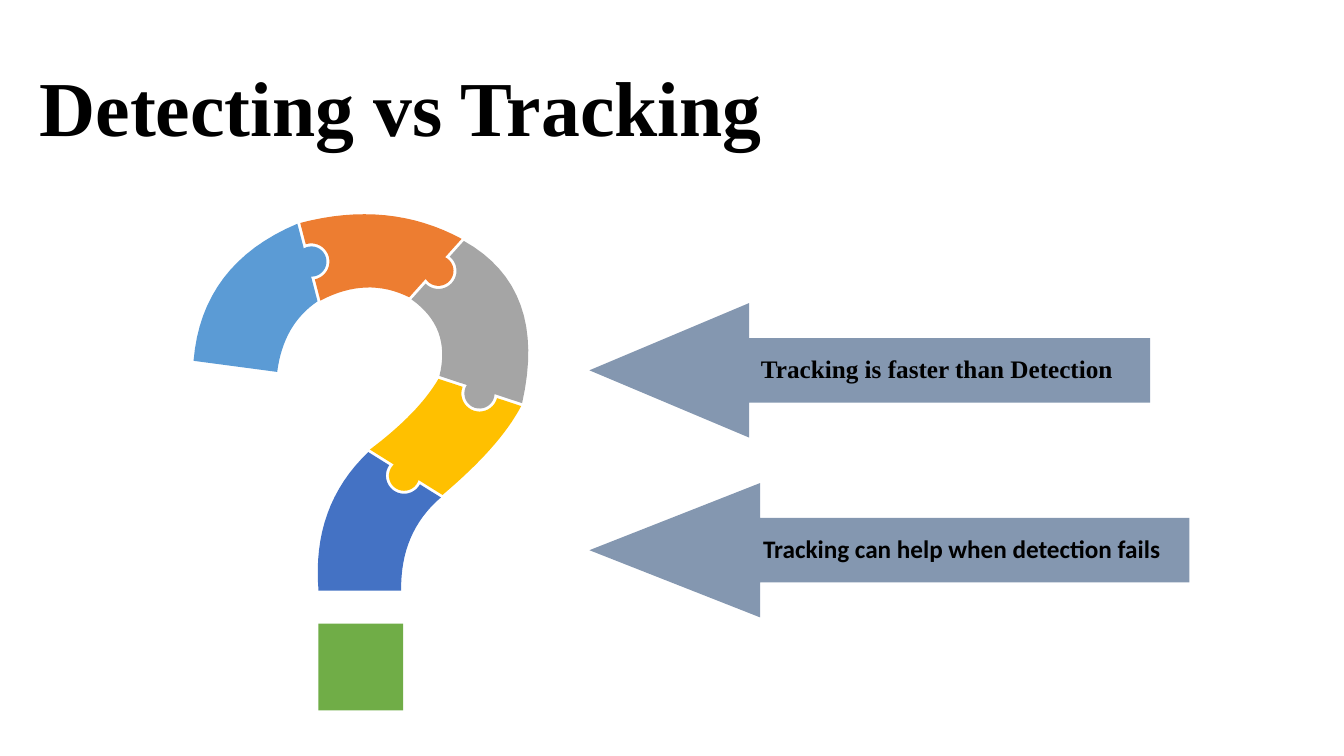
import math

from pptx import Presentation
from pptx.dml.color import RGBColor
from pptx.enum import shapes, text
from pptx.util import Pt

SERIF = "Times New Roman"
UNIT = 0.72  # points per outline unit
GAP = 3      # white gap between puzzle pieces
KNOB = 15    # knob radius
RISE = 4     # distance of a knob's centre from its seam

# Seams across the question mark: outer end, inner end
SEAMS = [((192, 358), (275, 369)), ((295, 222), (315, 299)),
         ((458, 237), (406, 295)), ((518, 400), (436, 373)),
         ((439, 491), (367, 446)), ((398, 586), (316, 586))]
# Pieces between the seams: colour, bend of outer edge, bend of inner edge
PIECES = [("5B9BD5", (200, 262), (281, 322)),
          ("ED7D31", (386, 198), (364, 274)),
          ("A5A5A5", (544, 286), (448, 325)),
          ("FFC000", (496, 443), (415, 410)),
          ("4472C4", (397, 528), (309, 502))]


def color(value):
    return RGBColor.from_string(value)


def paint(shape, fill):
    shape.shadow.inherit = False
    shape.fill.solid()
    shape.fill.fore_color.rgb = color(fill)
    shape.line.fill.background()


def write(shape, words, size, font=SERIF, fill="000000", bold=True,
          align=text.PP_ALIGN.LEFT, anchor=text.MSO_ANCHOR.MIDDLE, spacing=1.0):
    frame = shape.text_frame
    frame.word_wrap = True
    frame.vertical_anchor = anchor
    paragraph = frame.paragraphs[0]
    paragraph.alignment = align
    paragraph.line_spacing = spacing
    run = paragraph.add_run()
    run.text = words
    run.font.name = font
    run.font.size = Pt(size)
    run.font.bold = bold
    run.font.color.rgb = color(fill)
    return frame


def bend(start, control, end, steps=16):
    """Points of a quadratic curve, without its two ends."""
    return [tuple((1 - t)**2 * a + 2 * t * (1 - t) * b + t * t * c
                  for a, b, c in zip(start, control, end))
            for t in (i / steps for i in range(1, steps))]


def seam_points(index, shift, steps=20):
    """A seam from outer to inner end; inner seams carry a knob."""
    outer, inner = SEAMS[index]
    if index in (0, len(SEAMS) - 1):
        return [outer, inner]
    length = math.dist(outer, inner)
    dx, dy = [(b - a) / length for a, b in zip(outer, inner)]

    def place(along, ahead):
        return (outer[0] + along * dx + ahead * dy,
                outer[1] + along * dy - ahead * dx)

    radius = KNOB + shift
    overlap = math.asin((RISE - shift) / radius)
    angles = [-overlap + (math.pi + 2 * overlap) * i / steps
              for i in range(steps + 1)]
    knob = [place(length / 2 - radius * math.cos(angle),
                  RISE + radius * math.sin(angle)) for angle in angles]
    return [place(0, shift), *knob, place(length, shift)]


def add_piece(group, index):
    fill, outer_bend, inner_bend = PIECES[index]
    first = seam_points(index, GAP)
    last = seam_points(index + 1, 0)
    outline = (first[::-1] + bend(first[0], outer_bend, last[0])
               + last + bend(last[-1], inner_bend, first[-1]))
    start, *others = [(Pt(x * UNIT), Pt(y * UNIT)) for x, y in outline]
    builder = group.shapes.build_freeform(*start)
    builder.add_line_segments(others, close=True)
    paint(builder.convert_to_shape(), fill)


def add_question_mark(slide):
    group = slide.shapes.add_group_shape()
    for index in range(len(PIECES)):
        add_piece(group, index)
    dot = group.shapes.add_shape(shapes.MSO_SHAPE.RECTANGLE,
                                 Pt(227.5), Pt(445.5), Pt(60.5), Pt(62))
    paint(dot, "70AD47")


def add_arrow(slide, top, width, head, words, font, label_left, label_width):
    height = 96
    group = slide.shapes.add_group_shape()
    arrow = group.shapes.add_shape(shapes.MSO_SHAPE.LEFT_ARROW,
                                   Pt(421), Pt(top), Pt(width), Pt(height))
    arrow.adjustments[0] = 0.48
    arrow.adjustments[1] = head / height
    paint(arrow, "8497B0")
    label = group.shapes.add_textbox(Pt(label_left), Pt(top + 30.5),
                                     Pt(label_width), Pt(33))
    frame = write(label, words, 18, font, align=text.PP_ALIGN.CENTER)
    frame.margin_left = frame.margin_right = Pt(6)
    frame.margin_top = frame.margin_bottom = Pt(0)


def add_title(slide, words):
    title = slide.shapes.title
    title.left, title.top = Pt(21), Pt(34.5)
    title.width, title.height = Pt(557), Pt(78.5)
    write(title, words, 55.5, anchor=text.MSO_ANCHOR.BOTTOM, spacing=0.9)


def main():
    presentation = Presentation()
    presentation.slide_width, presentation.slide_height = Pt(960), Pt(540)
    slide = presentation.slides.add_slide(presentation.slide_layouts[5])

    add_title(slide, "Detecting vs Tracking")
    add_question_mark(slide)

    # Statements
    add_arrow(slide, 216.5, 400.5, 114, "Tracking is faster than Detection",
              SERIF, 517, 304.5)
    add_arrow(slide, 345, 428.5, 122, "Tracking can help when detection fails",
              "Calibri", 502, 370)

    presentation.save("out.pptx")


if __name__ == "__main__":
    main()
